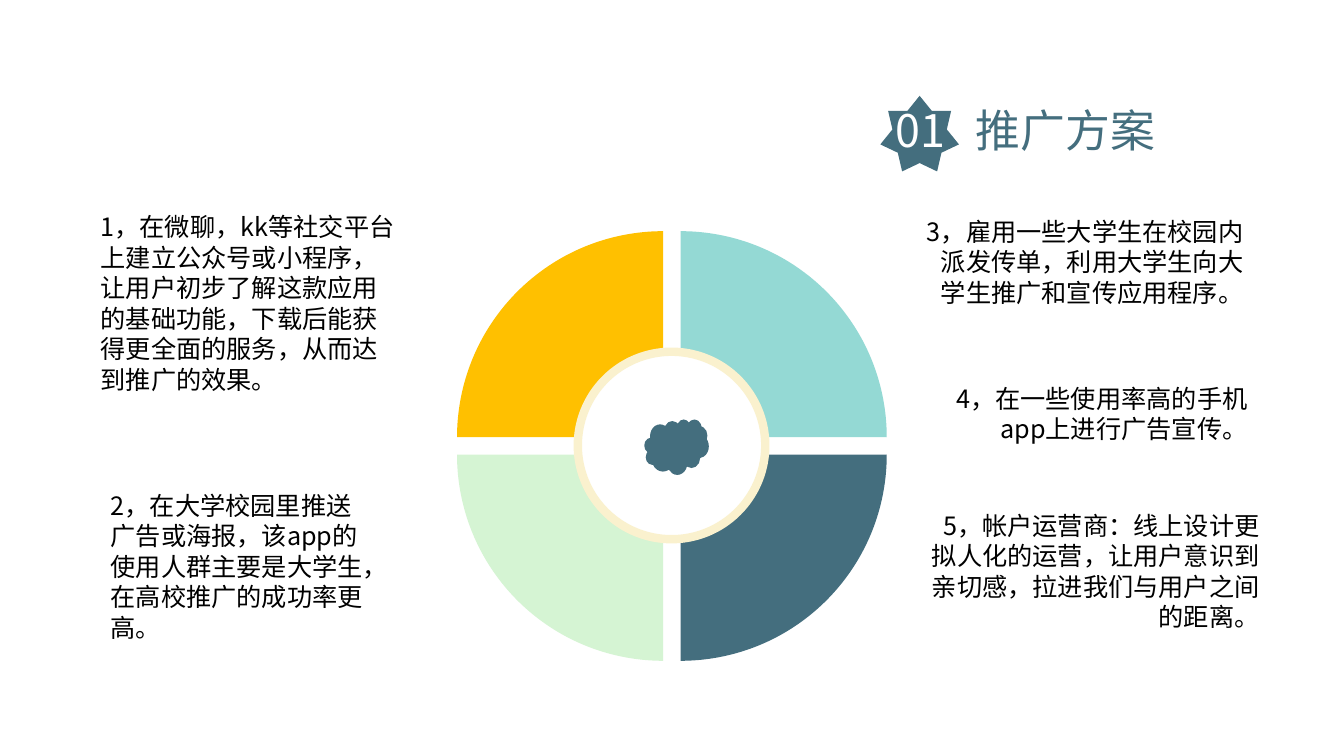
import lxml.etree
import pptx
import pptx.chart.data
import pptx.dml.color
import pptx.enum.chart
import pptx.enum.shapes
import pptx.enum.text
import pptx.oxml.ns
import pptx.util

RGBColor = pptx.dml.color.RGBColor
SHAPE = pptx.enum.shapes.MSO_SHAPE
ALIGN = pptx.enum.text.PP_ALIGN

SLATE = RGBColor(0x44, 0x6E, 0x7E)
TEAL = RGBColor(0x94, 0xD9, 0xD4)
MINT = RGBColor(0xD5, 0xF4, 0xD3)
AMBER = RGBColor(0xFF, 0xC0, 0x00)
CREAM = RGBColor(0xFA, 0xF1, 0xCE)
WHITE = RGBColor(0xFF, 0xFF, 0xFF)
BLACK = RGBColor(0x00, 0x00, 0x00)

# Boxes are (left, top, width, height) in percent of the slide
LEFT_NOTES = [
    ((6.75, 27.33, 23.48, 25.6),
     "1，在微聊，kk等社交平台上建立公众号或小程序，让用户初步了解这款应用的基础功能，"
     "下载后能获得更全面的服务，从而达到推广的效果。"),
    ((7.5, 64.13, 20.93, 21.6),
     "2，在大学校园里推送广告或海报，该app的使用人群主要是大学生，在高校推广的成功率更高。"),
]
RIGHT_NOTES = [
    ((68.19, 27.87, 25.06, 13.47),
     "3，雇用一些大学生在校园内派发传单，利用大学生向大学生推广和宣传应用程序。"),
    ((67.52, 50, 26.03, 9.47),
     "4，在一些使用率高的手机app上进行广告宣传。"),
    ((68.42, 66.8, 26.03, 17.47),
     "5，帐户运营商：线上设计更拟人化的运营，让用户意识到亲切感，拉进我们与用户之间的距离。"),
]


class SlideBuilder:
    font_name = "Noto Sans CJK SC"
    line_ratio = 1.21

    def __init__(self, presentation):
        self.width = presentation.slide_width
        self.height = presentation.slide_height
        self.slide = presentation.slides.add_slide(presentation.slide_layouts[6])

    def place(self, box):
        left, top, width, height = box
        return (round(left * self.width / 100), round(top * self.height / 100),
                round(width * self.width / 100), round(height * self.height / 100))

    def shape(self, kind, box, fill, line=None, line_width=0):
        shape = self.slide.shapes.add_shape(kind, *self.place(box))
        shape.shadow.inherit = False
        shape.fill.solid()
        shape.fill.fore_color.rgb = fill
        if line is None:
            shape.line.fill.background()
        else:
            shape.line.color.rgb = line
            shape.line.width = pptx.util.Pt(line_width)

    def text(self, box, runs, size, align=ALIGN.LEFT, tab=None):
        """Add one paragraph made of (text, colour) runs."""
        frame = self.slide.shapes.add_textbox(*self.place(box)).text_frame
        frame.word_wrap = True
        frame.auto_size = pptx.enum.text.MSO_AUTO_SIZE.SHAPE_TO_FIT_TEXT
        paragraph = frame.paragraphs[0]
        if tab is not None:
            properties = paragraph._p.get_or_add_pPr()
            tabs = lxml.etree.SubElement(properties, pptx.oxml.ns.qn("a:tabLst"))
            lxml.etree.SubElement(tabs, pptx.oxml.ns.qn("a:tab"),
                                  pos=str(round(tab * self.width / 100)), algn="l")
        paragraph.alignment = align
        paragraph.line_spacing = pptx.util.Pt(size * self.line_ratio)
        paragraph.font.size = pptx.util.Pt(size)
        paragraph.font.name = self.font_name
        lxml.etree.SubElement(paragraph.font._element, pptx.oxml.ns.qn("a:ea"),
                              typeface=self.font_name)
        for words, colour in runs:
            run = paragraph.add_run()
            run.text = words
            run.font.color.rgb = colour

    def pie(self, box, values, colours, explosion):
        data = pptx.chart.data.CategoryChartData()
        data.categories = [str(number + 1) for number in range(len(values))]
        data.add_series("Series 1", values)
        chart = self.slide.shapes.add_chart(
            pptx.enum.chart.XL_CHART_TYPE.PIE, *self.place(box), data).chart
        chart.has_legend = False
        chart.has_title = False
        chart.font.name = self.font_name
        chart.font.size = pptx.util.Pt(10)
        chart.font.color.rgb = BLACK
        chart.plots[0].vary_by_categories = True
        series = chart.plots[0].series[0]
        series.format.line.fill.background()
        for index, colour in enumerate(colours):
            point = series.points[index].format
            point.fill.solid()
            point.fill.fore_color.rgb = colour
            point.line.fill.background()
        # Pull the slices apart
        gap = lxml.etree.Element(pptx.oxml.ns.qn("c:explosion"), val=str(explosion))
        series._element.find(pptx.oxml.ns.qn("c:spPr")).addnext(gap)


def main():
    presentation = pptx.Presentation()
    presentation.slide_width = pptx.util.Inches(13.33)
    presentation.slide_height = pptx.util.Inches(7.5)
    builder = SlideBuilder(presentation)

    # Heading with its numbered star
    builder.shape(SHAPE.STAR_7_POINT, (65.5, 12.67, 5.85, 10), SLATE)
    builder.text((65.87, 12.93, 27.6, 8.53),
                 [("01\t", WHITE), ("推广方案", SLATE)], 32, tab=6)

    # Four-part wheel and its hub
    builder.pie((32.48, 28.27, 35.03, 61.47), [25] * 4,
                [TEAL, SLATE, MINT, AMBER], explosion=6)
    builder.shape(SHAPE.OVAL, (42.99, 46.53, 13.95, 24.8), WHITE, CREAM, 6)
    builder.shape(SHAPE.CLOUD, (47.94, 55.47, 4.8, 7.33), SLATE)

    # Notes on both sides
    for notes, align in ((LEFT_NOTES, ALIGN.LEFT), (RIGHT_NOTES, ALIGN.RIGHT)):
        for box, words in notes:
            builder.text(box, [(words, BLACK)], 18, align)

    presentation.save("out.pptx")


if __name__ == "__main__":
    main()
